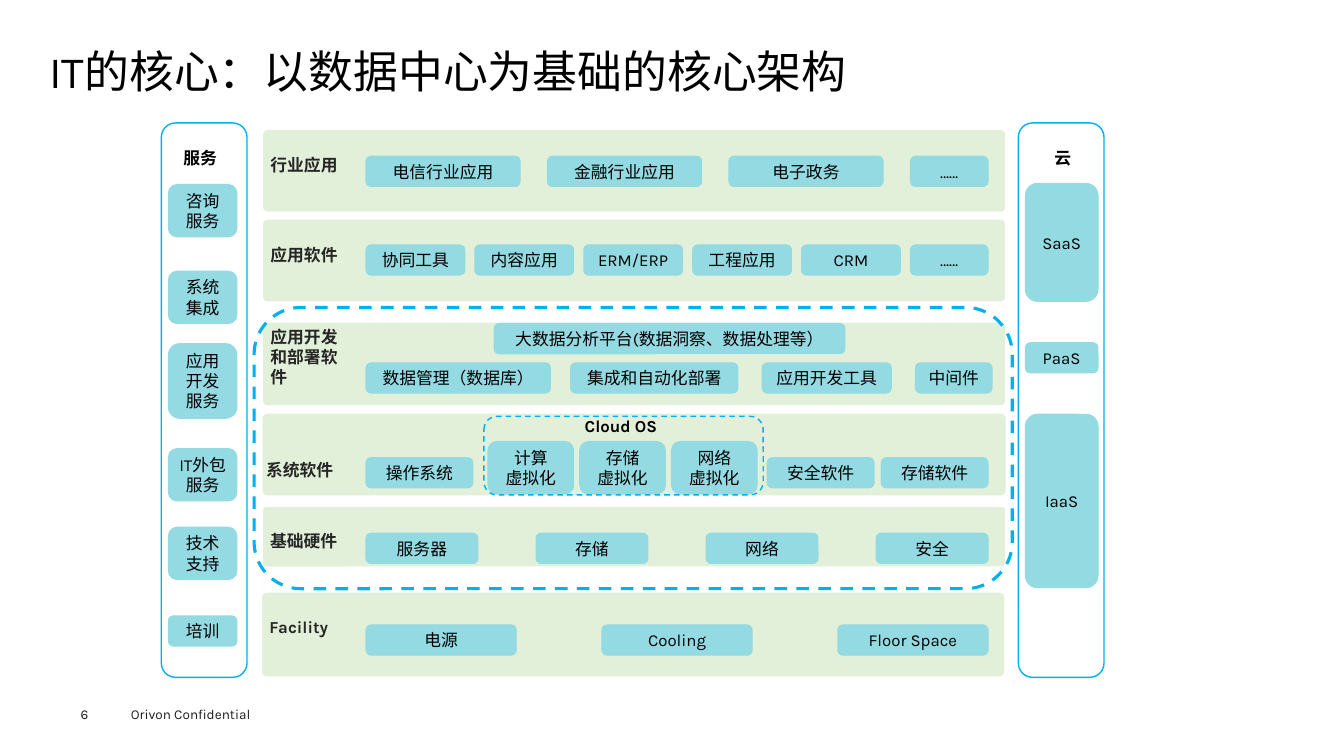
from pptx import Presentation
from pptx.dml.color import RGBColor
from pptx.enum.dml import MSO_LINE
from pptx.enum.shapes import MSO_SHAPE
from pptx.enum.text import MSO_ANCHOR, MSO_AUTO_SIZE, PP_ALIGN
from pptx.util import Emu, Pt

EMU_PER_PX = 9144  # 100 px to the inch
FONT = "Karla"
BLACK = RGBColor(0x00, 0x00, 0x00)
LABEL = RGBColor(0x26, 0x26, 0x26)
FOOTER = RGBColor(0x1D, 0x1D, 0x1B)
BAND = RGBColor(0xE2, 0xF0, 0xD9)
TILE = RGBColor(0x94, 0xDA, 0xE2)
FRAME = RGBColor(0x00, 0xB0, 0xF0)

BAND_LEFT, BAND_WIDTH = 261, 736
ROW_LEFT, ROW_RIGHT = 363, 980
TILE_HEIGHT = 30


def px(*lengths):
    return [Emu(round(length * EMU_PER_PX)) for length in lengths]


def write(text_frame, text, size=12, color=BLACK, bold=False,
          align=PP_ALIGN.LEFT, anchor=MSO_ANCHOR.TOP, insets=(6, 3, 6, 3), wrap=True):
    text_frame.text = text
    text_frame.word_wrap = wrap
    text_frame.auto_size = MSO_AUTO_SIZE.NONE
    text_frame.vertical_anchor = anchor
    (text_frame.margin_left, text_frame.margin_top,
     text_frame.margin_right, text_frame.margin_bottom) = px(*insets)
    for paragraph in text_frame.paragraphs:
        paragraph.alignment = align
        for run in paragraph.runs:
            run.font.name = FONT
            run.font.size = Pt(size)
            run.font.bold = bold
            run.font.color.rgb = color


def add_label(slide, box, text, **style):
    text_box = slide.shapes.add_textbox(*px(*box))
    write(text_box.text_frame, text, **style)


def add_heading(slide, box, text, color=BLACK):
    add_label(slide, box, text, color=color, bold=True, insets=(10, 5, 10, 5), wrap=False)


def add_filled(slide, box, color):
    shape = slide.shapes.add_shape(MSO_SHAPE.ROUNDED_RECTANGLE, *px(*box))
    shape.shadow.inherit = False
    shape.fill.solid()
    shape.fill.fore_color.rgb = color
    shape.line.color.rgb = color
    shape.line.width = Pt(0.75)
    return shape


def add_band(slide, top, height, label="", left=BAND_LEFT, label_top=23):
    band = add_filled(slide, (left, top, BAND_WIDTH, height), BAND)
    band.adjustments[0] = 0.055
    if label:
        band.line.fill.background()
        write(band.text_frame, label, color=LABEL, bold=True,
              insets=(6, label_top, 6, 3))


def add_tile(slide, left, top, width, text, height=TILE_HEIGHT):
    tile = add_filled(slide, (left, top, width, height), TILE)
    write(tile.text_frame, text, align=PP_ALIGN.CENTER, anchor=MSO_ANCHOR.MIDDLE)


def add_row(slide, top, tiles):
    """Spread (width, text) tiles with equal gaps across the row."""
    free = ROW_RIGHT - ROW_LEFT - sum(width for width, _ in tiles)
    gap = free / (len(tiles) - 1)
    left = ROW_LEFT
    for width, text in tiles:
        add_tile(slide, left, top, width, text)
        left += width + gap


def add_frame(slide, box, kind=MSO_SHAPE.ROUNDED_RECTANGLE, weight=1, dashed=False):
    frame = slide.shapes.add_shape(kind, *px(*box))
    frame.shadow.inherit = False
    frame.fill.background()
    frame.line.color.rgb = FRAME
    frame.line.width = Pt(weight)
    if dashed:
        frame.line.dash_style = MSO_LINE.DASH


def add_column(slide, left, heading, heading_box, tile_left, tile_width, tiles):
    add_frame(slide, (left, 122, 85, 550), MSO_SHAPE.FLOWCHART_ALTERNATE_PROCESS)
    add_heading(slide, heading_box, heading)
    for top, height, text in tiles:
        add_tile(slide, tile_left, top, tile_width, text, height)


def add_title(slide, text):
    title = slide.shapes.title
    title.left, title.top, title.width, title.height = px(49, 49, 1235, 54)
    write(title.text_frame, text, size=32, insets=(0, 0, 0, 0))
    title.text_frame.paragraphs[0].line_spacing = 0.9


def main():
    presentation = Presentation()
    presentation.slide_width, presentation.slide_height = px(1333, 750)
    slide = presentation.slides.add_slide(presentation.slide_layouts[5])

    # Title and footer
    add_title(slide, "IT的核心：以数据中心为基础的核心架构")
    add_label(slide, (120, 695, 160, 27), "Orivon Confidential",
              size=9.7, color=FOOTER, insets=(10, 5, 10, 5))
    add_label(slide, (80, 700, 55, 16), "6", size=9.7, color=FOOTER, insets=(0, 0, 0, 0))

    # Industry applications and application software
    add_band(slide, 129, 81, "行业应用")
    add_row(slide, 155, [(153, "电信行业应用"), (153, "金融行业应用"),
                         (153, "电子政务"), (77, "……")])
    add_band(slide, 218, 81, "应用软件")
    software = ["协同工具", "内容应用", "ERM/ERP", "工程应用", "CRM"]
    add_row(slide, 243, [(98, text) for text in software] + [(77, "……")])

    # Development and deployment software
    add_band(slide, 320, 82, "应用开发\n和部署软\n件", label_top=3)
    add_tile(slide, 490, 321, 348, "大数据分析平台(数据洞察、数据处理等）")
    for left, width, text in [(363, 183, "数据管理（数据库）"), (566, 166, "集成和自动化部署"),
                              (756, 128, "应用开发工具"), (908, 76, "中间件")]:
        add_tile(slide, left, 360, width, text)

    # System software with the cloud operating system
    add_band(slide, 411, 80)
    add_heading(slide, (254, 451, 88, 30), "系统软件", LABEL)
    for left, text in [(363, "操作系统"), (761, "安全软件"), (874, "存储软件")]:
        add_tile(slide, left, 454, 106, text)
    for index, resource in enumerate(["计算", "存储", "网络"]):
        add_tile(slide, 484 + 91 * index, 438, 85, f"{resource}\n虚拟化", 52)
    add_frame(slide, (480, 413, 277, 78), dashed=True)
    add_heading(slide, (570, 408, 95, 30), "Cloud OS")

    # Hardware and facility
    add_band(slide, 503, 59, "基础硬件")
    add_row(slide, 529, [(111, text) for text in ["服务器", "存储", "网络", "安全"]])
    add_band(slide, 588, 83, "Facility", left=260)
    add_row(slide, 620, [(149, text) for text in ["电源", "Cooling", "Floor Space"]])

    # Service and cloud columns
    add_column(slide, 160, "服务", (172, 142, 54, 30), 167, 68, [
        (183, 52, "咨询\n服务"), (269, 52, "系统\n集成"), (341, 74, "应用开发服务"),
        (445, 52, "IT外包服务"), (523, 52, "技术\n支持"), (611, 30, "培训")])
    add_column(slide, 1010, "云", (1036, 142, 37, 30), 1017, 72, [
        (182, 117, "SaaS"), (340, 30, "PaaS"), (411, 172, "IaaS")])

    # Data centre core outline
    add_frame(slide, (252, 305, 752, 279), weight=2.25, dashed=True)

    presentation.save("out.pptx")


if __name__ == "__main__":
    main()
